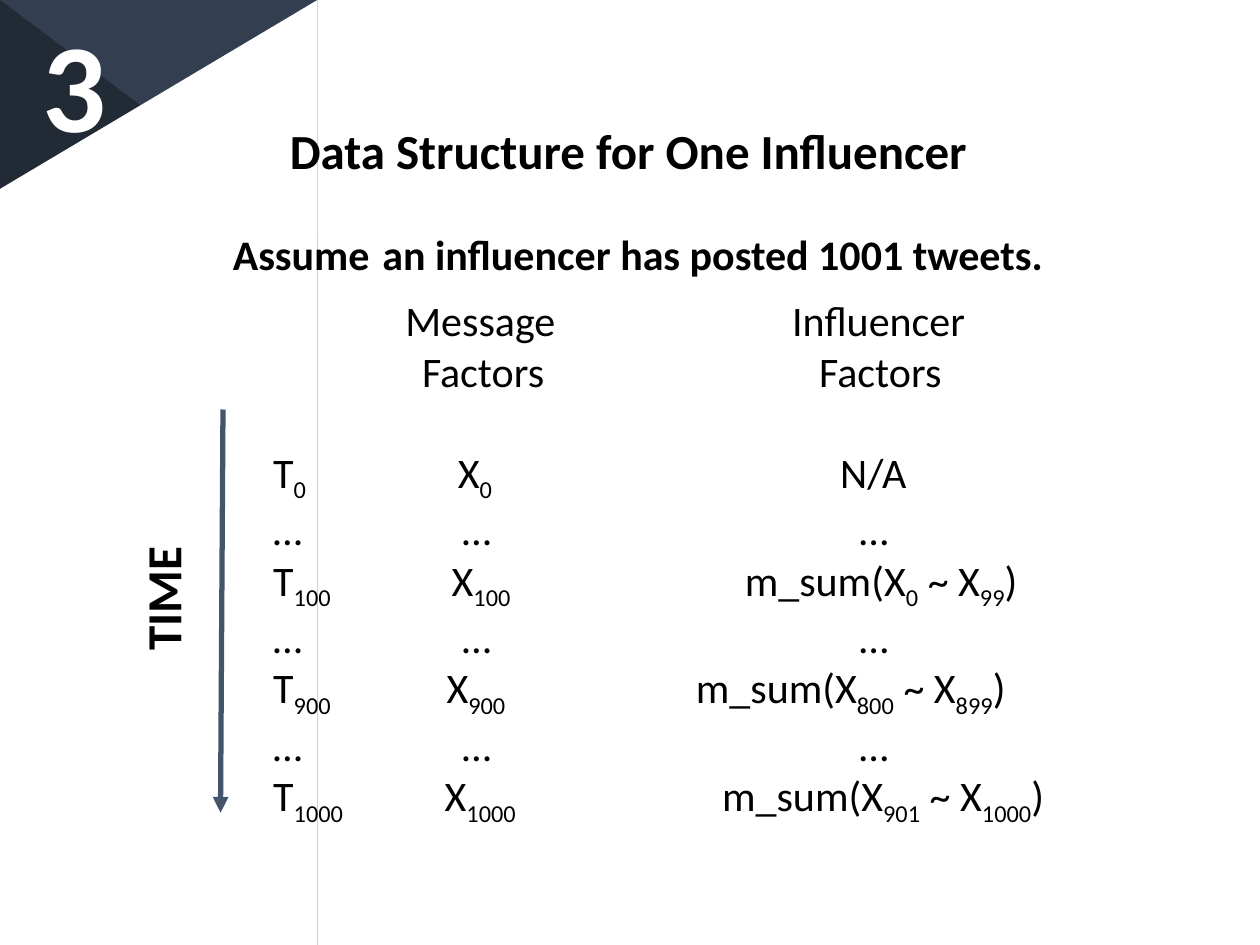
from lxml import etree
from pptx import Presentation
from pptx.dml.color import RGBColor
from pptx.enum.shapes import MSO_CONNECTOR, MSO_SHAPE as SHAPE
from pptx.enum.text import PP_ALIGN
from pptx.oxml.ns import qn
from pptx.util import Pt


def paint(fmt, color, alpha=None):
    """Fill with a solid hex colour; alpha is a percentage."""
    fmt.solid()
    fmt.fore_color.rgb = RGBColor.from_string(color)
    if alpha:
        clr = fmt._xPr.find(qn("a:solidFill"))[0]
        etree.SubElement(clr, qn("a:alpha")).set("val", str(alpha * 1000))


def add_text(x, y, w, h, runs, color="000000", bold=True):
    """Add a text box with one paragraph of (text, size) runs."""
    sp = s.shapes.add_textbox(Pt(x), Pt(y), Pt(w), Pt(h))
    sp.text_frame.word_wrap = True
    for text, size in runs:
        r = sp.text_frame.paragraphs[0].add_run()
        r.text = text
        r.font.name, r.font.size, r.font.bold = "Calibri", Pt(size), bold
        paint(r.font.fill, color)
    return sp


prs = Presentation()
prs.slide_width, prs.slide_height = Pt(720), Pt(540)
s = prs.slides.add_slide(prs.slide_layouts[6])
paint(s.background.fill, "333F50")

# Dark corner facets, then the white page that leaves the corner showing
page = s.shapes.add_group_shape()
facets = [
    (s, SHAPE.ISOSCELES_TRIANGLE, 0, 0, 720, 540, 0, 0, "222A35", None),
    (s, SHAPE.PARALLELOGRAM, -38.16, 120.96, 795.6, 297.36, 346.3, None, "222A35", 50),
    (s, SHAPE.ISOSCELES_TRIANGLE, 64.08, -83.52, 292.32, 800.64, 199.1, 1, "333F50", 50),
    (page, SHAPE.RECTANGLE, 181.44, 0, 538.56, 540, 0, None, "FFFFFF", None),
    (page, SHAPE.FLOWCHART_MANUAL_INPUT, 0, 0, 181.44, 540, 0, None, "FFFFFF", None),
]
for parent, kind, x, y, w, h, angle, adj, color, alpha in facets:
    shapes = parent.shapes
    sp = shapes.add_shape(kind, Pt(x), Pt(y), Pt(w), Pt(h))
    sp.rotation = angle
    sp.shadow.inherit = False
    sp.line.fill.background()
    paint(sp.fill, color, alpha)
    if adj is not None:
        sp.adjustments[0] = adj
s.shapes._spTree.append(page._element)  # bring the page in front of the facets

# Title and section number
sp = add_text(144.72, 10.8, 428.4, 139.68, [("Data Structure for One Influencer", 28)])
sp.text_frame.margin_top = Pt(48)
p = sp.text_frame.paragraphs[0]
p.alignment, p.line_spacing = PP_ALIGN.CENTER, 1.3
add_text(17.28, 0, 40.32, 94.32, [("3", 72)], "FFFFFF")

# Time arrow and its label
line = s.shapes.add_connector(MSO_CONNECTOR.STRAIGHT, Pt(127.44), Pt(234), Pt(126), Pt(464.4))
paint(line.line.fill, "44546A")
line.line.width = Pt(3)
etree.SubElement(line.line._get_or_add_ln(), qn("a:tailEnd")).set("type", "triangle")
etree.SubElement(line._element.spPr, qn("a:effectLst"))
sp = add_text(72, 259.92, 48.24, 118.8, [("TIME", 28)])
sp.rotation = 180
sp.text_frame._txBody.bodyPr.set("vert", "eaVert")

# Factor listing: text with [subscripts], and the tab stops of its columns
dots = ("…\t…\t…", 108, 335)
rows = [
    ("\tMessage\tInfluencer", 75.5, 296.5),
    ("\tFactors\tFactors", 85, 312),
    ("T[0]\tX[0]\tN/A", 105.5, 324),
    dots,
    ("T[100]\tX[100]\tm_sum(X[0] ~ X[99])", 102, 269.5),
    dots,
    ("T[900]\tX[900]\tm_sum(X[800] ~ X[899])", 99, 241.5),
    dots,
    ("T[1000]\tX[1000]\tm_sum(X[901] ~ X[1000])", 98, 256.5),
]
sp = add_text(149.04, 164.88, 503.28, 334.08, [])
tf = sp.text_frame
for i, (text, *stops) in enumerate(rows):
    p = tf.add_paragraph() if i else tf.paragraphs[0]
    tabs = etree.SubElement(p._p.get_or_add_pPr(), qn("a:tabLst"))
    for stop in stops:
        tab = etree.SubElement(tabs, qn("a:tab"))
        tab.set("pos", str(Pt(stop)))
        tab.set("algn", "l")
    if i == 2:
        p.space_before = Pt(29)
    for j, part in enumerate(text.replace("]", "[").split("[")):
        r = p.add_run()
        r.text = part
        r.font.name, r.font.size = "Calibri", Pt(24)
        paint(r.font.fill, "000000")
        if j % 2:
            r._r.get_or_add_rPr().set("baseline", "-25000")

# Assumption line
add_text(126, 118.8, 550.08, 46.08,
         [("Assume", 24), (" ", 32), ("an influencer has posted 1001 tweets.", 24)])

prs.save("out.pptx")
